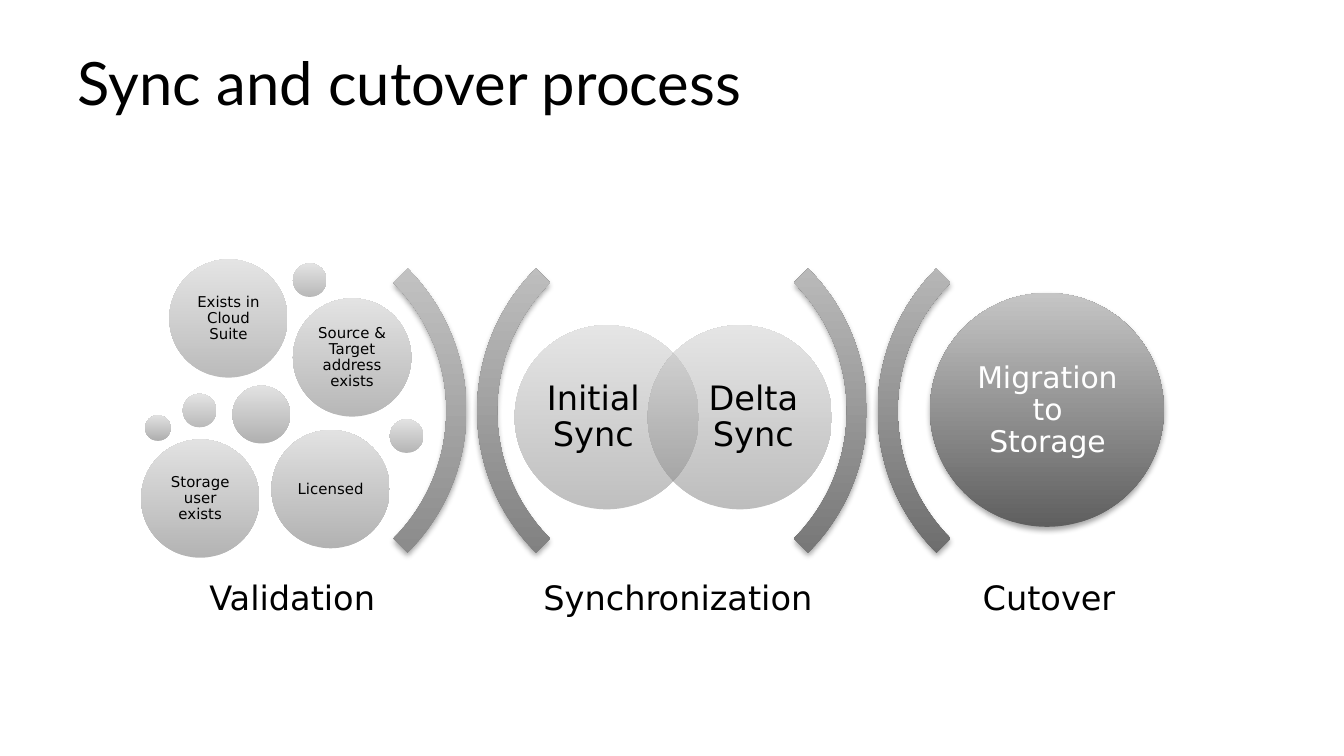
"""Build the sync and cutover process slide."""
from lxml.etree import SubElement
from pptx import Presentation
from pptx.dml.color import RGBColor
from pptx.enum.shapes import MSO_SHAPE as Shape
from pptx.enum.text import MSO_ANCHOR as Anchor, PP_ALIGN as Align
from pptx.oxml.ns import qn
from pptx.util import Inches, Pt

BLACK = RGBColor(0x00, 0x00, 0x00)
WHITE = RGBColor(0xFF, 0xFF, 0xFF)


def grey(level):
    return RGBColor(level, level, level)


def write(frame, text, size=18, font="DejaVu Sans", color=BLACK,
          align=Align.CENTER, spacing=0.9, inset=0.07):
    frame.word_wrap = True
    frame.vertical_anchor = Anchor.MIDDLE
    frame.margin_left = frame.margin_right = Inches(inset)
    frame.margin_top = frame.margin_bottom = Inches(inset)
    para = frame.paragraphs[0]
    para.alignment = align
    para.line_spacing = spacing
    span = para.add_run()
    span.text = text
    span.font.size = Pt(size)
    span.font.name = font
    span.font.color.rgb = color


class ProcessSlide:
    def __init__(self, deck):
        self.page = deck.slides.add_slide(deck.slide_layouts[5])
        self.shapes = self.page.shapes

    def title(self, text):
        box = self.shapes.title
        box.left, box.top = Inches(0.48), Inches(0.11)
        box.width, box.height = Inches(9), Inches(1)
        write(box.text_frame, text, size=32, font="Lato", align=Align.LEFT,
              spacing=1, inset=0.1)

    def label(self, text, left, top, width, height, **style):
        box = self.shapes.add_textbox(*map(Inches, (left, top, width, height)))
        write(box.text_frame, text, **style)

    def graded(self, kind, left, top, size, dark, light, opacity=100, shadow=False):
        shape = self.shapes.add_shape(kind, *map(Inches, (left, top, size, size)))
        shape.shadow.inherit = False
        shape.line.fill.background()
        shape.fill.gradient()
        shape.fill.gradient_angle = 90
        for stop, level in zip(shape.fill.gradient_stops, (dark, light)):
            stop.color.rgb = grey(level)
        properties = shape._element.spPr
        properties.find(qn("a:gradFill")).set("rotWithShape", "0")
        if opacity < 100:
            for color in properties.iter(qn("a:srgbClr")):
                SubElement(color, qn("a:alpha"), val=str(opacity * 1000))
        if shadow:
            effects = properties.find(qn("a:effectLst"))
            outer = SubElement(effects, qn("a:outerShdw"), blurRad=str(Pt(3.1)),
                               dist=str(Pt(1.8)), dir="5400000", rotWithShape="0")
            color = SubElement(outer, qn("a:srgbClr"), val=str(BLACK))
            SubElement(color, qn("a:alpha"), val="35000")
        return shape

    def bracket(self, left, rotation, dark, light):
        arc = self.graded(Shape.BLOCK_ARC, left, 1.56, 2.99, dark, light, shadow=True)
        arc.rotation = rotation
        for index, value in enumerate((135, 189, 0.05)):
            arc.adjustments[index] = value

    def bubble(self, left, top, size, dark, light, text=""):
        self.graded(Shape.OVAL, left, top, size, dark, light, opacity=50)
        if text:
            self.label(text, left + 0.13, top + 0.13, size - 0.26, size - 0.26,
                       size=8, inset=0.03)

    def sync_circle(self, left, dark, light, text, text_left):
        self.graded(Shape.OVAL, left, 2.42, 1.37, dark, light, opacity=50)
        self.label(text, text_left, 2.58, 0.79, 1.05, inset=0)

    def cutover_circle(self, text):
        self.graded(Shape.OVAL, 6.92, 2.18, 1.74, 0x5F, 0xC5, shadow=True)
        self.label(text, 7.18, 2.44, 1.23, 1.23, size=16, color=WHITE)


def main():
    deck = Presentation()
    deck.slide_width = Inches(10)
    deck.slide_height = deck.slide_width * 9 // 16
    slide = ProcessSlide(deck)
    slide.title("Sync and cutover process")

    for bracket in ((0.48, 90, 0x80, 0xCD), (3.55, 270, 0x75, 0xCA),
                    (3.46, 90, 0x6A, 0xC7), (6.53, 270, 0x5F, 0xC5)):
        slide.bracket(*bracket)

    slide.sync_circle(3.83, 0x80, 0xCD, "Initial Sync", 4.02)
    slide.sync_circle(4.82, 0x7D, 0xCC, "Delta Sync", 5.21)

    for bubble in ((1.26, 1.93, 0.88, 0x79, 0xCB, "Exists in Cloud Suite"),
                   (1.36, 2.93, 0.25, 0x76, 0xCA),
                   (2.18, 1.96, 0.25, 0x73, 0xC9),
                   (2.18, 2.22, 0.88, 0x70, 0xC8, "Source & Target address exists"),
                   (2.9, 3.12, 0.25, 0x6C, 0xC8),
                   (1.05, 3.27, 0.88, 0x69, 0xC7, "Storage user exists"),
                   (2.02, 3.2, 0.88, 0x66, 0xC6, "Licensed"),
                   (1.73, 2.87, 0.43, 0x62, 0xC6),
                   (1.08, 3.09, 0.19, 0x5F, 0xC5)):
        slide.bubble(*bubble)

    slide.cutover_circle("Migration to Storage")

    for text, left in (("Validation", 1.04), ("Synchronization", 3.91),
                       ("Cutover", 6.67)):
        slide.label(text, left, 4.16, 2.27, 0.6)

    deck.save("out.pptx")


if __name__ == "__main__":
    main()
